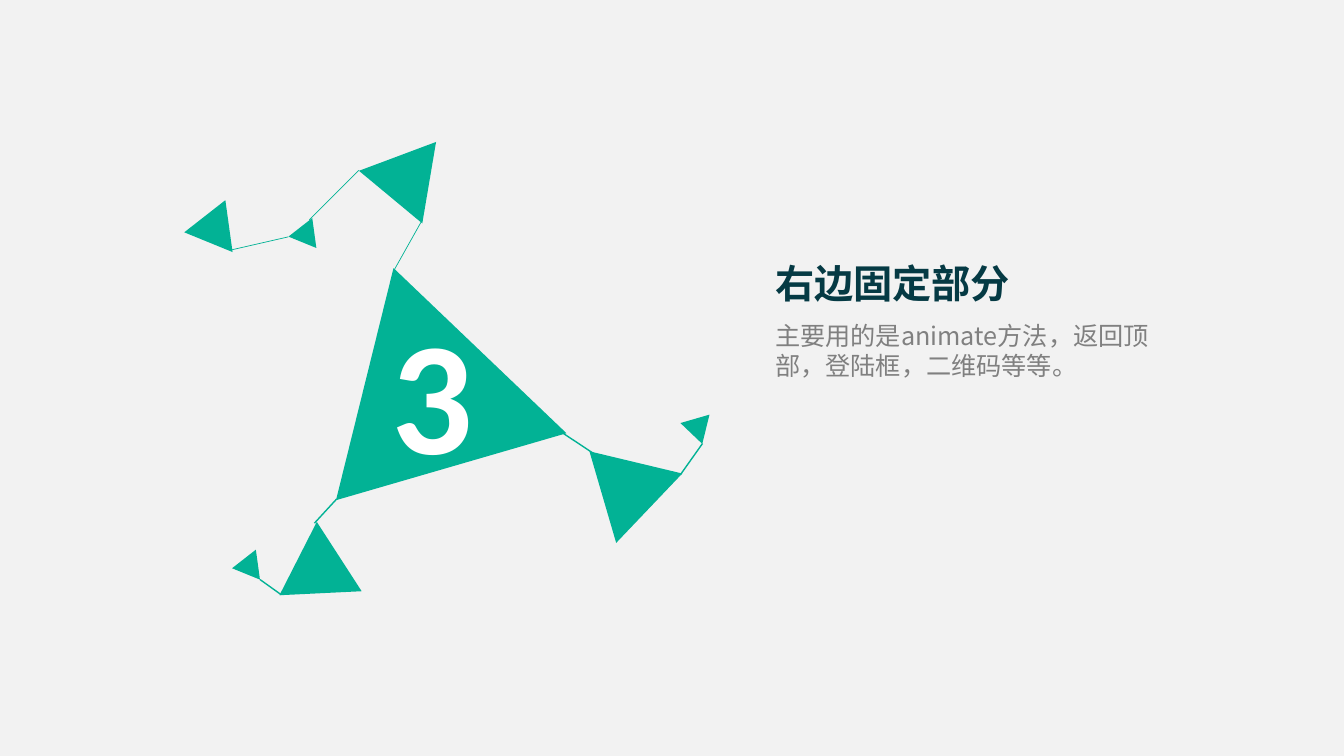
import pptx
import pptx.util
import pptx.dml.color
import pptx.enum.shapes
import pptx.oxml.ns
import lxml.etree

Pt = pptx.util.Pt
RGBColor = pptx.dml.color.RGBColor

GREEN = RGBColor(0x02, 0xB2, 0x95)
NAVY = RGBColor(0x05, 0x3A, 0x44)
GRAY = RGBColor(0x80, 0x80, 0x80)
WHITE = RGBColor(0xFF, 0xFF, 0xFF)
PAPER = RGBColor(0xF2, 0xF2, 0xF2)
CHINESE_FONT = "Noto Sans CJK SC"
TRIANGLE_RATIO = 0.862  # height to width

deck = pptx.Presentation()
deck.slide_width, deck.slide_height = Pt(960), Pt(540)
page = deck.slides.add_slide(deck.slide_layouts[6])
page.background.fill.solid()
page.background.fill.fore_color.rgb = PAPER


def add_text(text, left, top, width, height, size, font, color, bold, spacing):
    box = page.shapes.add_textbox(Pt(left), Pt(top), Pt(width), Pt(height))
    box.text_frame.word_wrap = True
    box.text_frame.text = text
    para = box.text_frame.paragraphs[0]
    para.line_spacing = spacing
    span = para.runs[0]
    span.font.size = Pt(size)
    span.font.name = font
    span.font.bold = bold
    span.font.color.rgb = color
    east_asian = lxml.etree.SubElement(span.font._element, pptx.oxml.ns.qn("a:ea"))
    east_asian.set("typeface", font)


# Triangles: left, top, width, rotation
triangles = [
    (216, 188.6, 171.4, 343.8),
    (252, 100.8, 59, 279.6),
    (128.9, 147.6, 37.4, 262.1),
    (204.5, 158.4, 21.6, 262.1),
    (408.2, 313.2, 68.4, 313.6),
    (488.2, 298.8, 21.6, 163.8),
    (191.5, 385.9, 59, 237.1),
    (164.2, 395.3, 21.6, 262.1),
]
for left, top, width, rotation in triangles:
    triangle = page.shapes.add_shape(
        pptx.enum.shapes.MSO_SHAPE.ISOSCELES_TRIANGLE,
        Pt(left), Pt(top), Pt(width), Pt(width * TRIANGLE_RATIO))
    triangle.rotation = rotation
    triangle.shadow.inherit = False
    triangle.fill.solid()
    triangle.fill.fore_color.rgb = GREEN
    triangle.line.fill.background()

# Links between the triangles: start, end, line width
links = [
    (281.5, 193, 301.7, 157, 0.5),
    (256.3, 121.7, 221, 157, 0.5),
    (205.9, 169.2, 164.9, 178.6, 0.5),
    (400.3, 308.2, 424.1, 324, 1),
    (486, 339.1, 501.8, 316.8, 1),
    (224.6, 373.7, 240.5, 356.4, 1),
    (200.9, 424.8, 185.8, 414, 1),
]
for start_x, start_y, end_x, end_y, weight in links:
    link = page.shapes.add_connector(
        pptx.enum.shapes.MSO_CONNECTOR.STRAIGHT,
        Pt(start_x), Pt(start_y), Pt(end_x), Pt(end_y))
    link.line.color.rgb = GREEN
    link.line.width = Pt(weight)
    lxml.etree.SubElement(link._element.spPr, pptx.oxml.ns.qn("a:effectLst"))

# Section number, title and description
add_text("3", 272.9, 205.9, 64.8, 146.9, 115, "Calibri", WHITE, True, 1.0)
add_text("右边固定部分", 546.5, 181.5, 272.2, 41, 28, CHINESE_FONT, NAVY, True, Pt(34))
add_text("主要用的是animate方法，返回顶部，登陆框，二维码等等。",
         546.5, 225.4, 294.5, 51.1, 18, CHINESE_FONT, GRAY, False, Pt(21.5))

deck.save("out.pptx")
